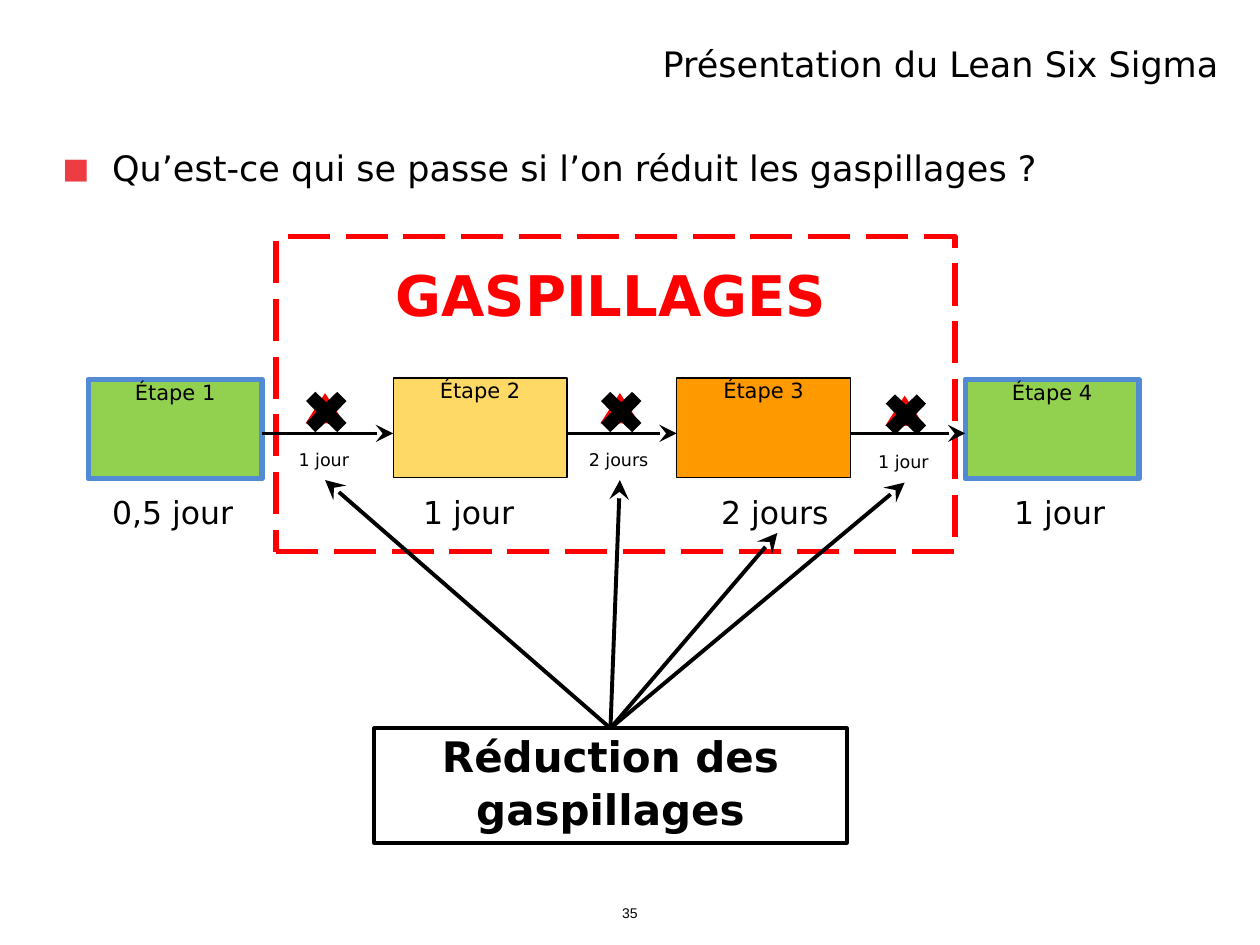
import lxml.etree
import pptx
import pptx.dml.color
import pptx.enum.dml
import pptx.enum.shapes
import pptx.enum.text
import pptx.oxml.ns
import pptx.util

HUES = {"ink": "000000", "red": "FF0000", "mark": "EE3D42", "white": "FFFFFF",
        "green": "92D050", "blue": "528BD4", "sand": "FFD966", "orange": "FF9900"}
ALIGN = pptx.enum.text.PP_ALIGN
FORMS = pptx.enum.shapes.MSO_SHAPE
CELL = 0.1  # the slide is a grid of 100 columns and 75 rows


def span(cells):
    return pptx.util.Inches(cells * CELL)


def hue(name):
    return pptx.dml.color.RGBColor.from_string(HUES[name])


def add(parent, tag, **attrs):
    node = lxml.etree.SubElement(parent, pptx.oxml.ns.qn(tag))
    for key, value in attrs.items():
        node.set(key, value)
    return node


def write(para, text, size=18, color="ink", bold=False, font="DejaVu Sans",
          align=ALIGN.LEFT, left=0, hang=0, before=0, lead=None, bullet=None):
    para.alignment = align
    props = para._p.get_or_add_pPr()
    props.set("marL", str(span(left)))
    props.set("indent", str(-span(hang)))
    if bullet:
        add(add(props, "a:buClr"), "a:srgbClr", val=HUES["mark"])
        add(props, "a:buSzPct", val="125000")
        add(props, "a:buFont", typeface=font)
        add(props, "a:buChar", char=bullet)
    if before:
        para.space_before = pptx.util.Pt(before)
    if lead:
        para.line_spacing = lead
    run = para.add_run()
    run.text = text
    run.font.name = font
    run.font.size = pptx.util.Pt(size)
    run.font.bold = bold
    run.font.color.rgb = hue(color)


class Page:
    def __init__(self, deck):
        self.slide = deck.slides.add_slide(deck.slide_layouts[6])
        self.shapes = self.slide.shapes

    def frame(self, shape):
        frame = shape.text_frame
        frame.word_wrap = True
        frame.vertical_anchor = pptx.enum.text.MSO_ANCHOR.TOP
        frame.margin_left = frame.margin_right = 0
        frame.margin_top = frame.margin_bottom = 0
        return frame

    def paint(self, shape, fill=None, line=None, width=1):
        shape.shadow.inherit = False
        if fill:
            shape.fill.solid()
            shape.fill.fore_color.rgb = hue(fill)
        else:
            shape.fill.background()
        if line:
            shape.line.color.rgb = hue(line)
            shape.line.width = pptx.util.Pt(width)
        else:
            shape.line.fill.background()
        return shape

    def text(self, x, y, w, h, *paras):
        frame = self.frame(self.shapes.add_textbox(span(x), span(y), span(w), span(h)))
        for i, (words, style) in enumerate(paras):
            write(frame.add_paragraph() if i else frame.paragraphs[0], words, **style)

    def label(self, mid, y, words, w=12, h=2.8, **style):
        self.text(mid - w / 2, y, w, h, (words, dict(style, align=ALIGN.CENTER)))

    def box(self, x, y, w, h, words, fill, line, width, **style):
        shape = self.shapes.add_shape(FORMS.RECTANGLE, span(x), span(y), span(w), span(h))
        self.paint(shape, fill, line, width)
        write(self.frame(shape).paragraphs[0], words, align=ALIGN.CENTER, **style)
        return shape

    def peak(self, mid, y, w, h, fill):
        shape = self.shapes.add_shape(FORMS.ISOSCELES_TRIANGLE, span(mid - w / 2),
                                      span(y), span(w), span(h))
        self.paint(shape, fill)

    def outline(self, points, **look):
        first, *rest = [(span(x), span(y)) for x, y in points]
        path = self.shapes.build_freeform(*first)
        path.add_line_segments(rest, close=True)
        return self.paint(path.convert_to_shape(), **look)

    def cross(self, mid, y, size, fill):
        cut, dip = 0.23, 0.26
        shares = [(0, cut), (cut, 0), (0.5, dip), (1 - cut, 0), (1, cut), (1 - dip, 0.5),
                  (1, 1 - cut), (1 - cut, 1), (0.5, 1 - dip), (cut, 1), (0, 1 - cut),
                  (dip, 0.5)]
        self.outline([(mid + (a - 0.5) * size, y + b * size) for a, b in shares], fill=fill)

    def arrow(self, start, end, width, source=None):
        line = self.shapes.add_connector(pptx.enum.shapes.MSO_CONNECTOR.STRAIGHT,
                                         *[span(v) for v in (*start, *end)])
        if source is not None:
            line.begin_connect(source, 0)
        line.line.color.rgb = hue("ink")
        line.line.width = pptx.util.Pt(width)
        add(line.line._get_or_add_ln(), "a:tailEnd", type="stealth", w="lg", len="lg")
        add(line._element.spPr, "a:effectLst")


def main():
    deck = pptx.Presentation()
    deck.slide_width, deck.slide_height = span(100), span(75)
    page = Page(deck)

    # Dashed zone of waste
    zone = page.outline([(21.9, 43.8), (75.8, 43.8), (75.8, 18.8), (21.9, 18.8)],
                        line="red", width=3)
    zone.line.dash_style = pptx.enum.dml.MSO_LINE.LONG_DASH

    # Title, question and zone heading
    page.text(4.8, 3.4, 92.4, 21.3,
              ("Présentation du Lean Six Sigma", dict(size=20, left=47.8)),
              ("Qu’est-ce qui se passe si l’on réduit les gaspillages ?",
               dict(size=20, left=4.1, hang=4, before=35, bullet="▪")),
              ("GASPILLAGES",
               dict(size=32, color="red", bold=True, left=26.6, before=41.5)))

    # Steps and their durations
    wide, tall = 13.8, 7.9
    steps = [(7, 30.1, "green", "blue", 3, "0,5 jour", 13.7),
             (31.2, 30, "sand", "ink", 0.72, "1 jour", 37.2),
             (53.7, 30, "orange", "ink", 0.72, "2 jours", 61.5),
             (76.6, 30.1, "green", "blue", 3, "1 jour", 84.1)]
    for i, (x, y, fill, line, width, time, mid) in enumerate(steps, 1):
        page.box(x, y, wide, tall, f"Étape {i}", fill, line, width, size=12)
        page.label(mid, 39.1, time)

    # Flow between steps
    for here, there in zip(steps, steps[1:]):
        page.arrow((here[0] + wide, 34.4), (there[0], 34.4), 1.5)

    # Crossed-out waits
    waits = [(25.8, 31.1, "1 jour"), (49.2, 31.1, "2 jours"), (71.8, 31.3, "1 jour")]
    for mid, y, time in waits:
        page.peak(mid, y + 0.1, 3.1, 2.4, "red")
        page.cross(mid + 0.1, y, 3.2, "ink")
        page.label(mid - 0.1, y + 4.5, time, w=8, h=1.7, size=10)

    # Waste reduction and its targets
    goal = page.box(29.7, 57.8, 37.5, 9.1, "Réduction des gaspillages", "white", "ink", 2.25,
                    size=24, bold=True, lead=1.05)
    for end in [(mid, y + 7) for mid, y, _ in waits] + [(61.7, 42.3)]:
        page.arrow((48.45, 57.8), end, 2.25, goal)

    # Page number
    page.label(50, 71.8, "35", w=3, h=1.4, size=8, font="Arial")

    deck.save("out.pptx")


if __name__ == "__main__":
    main()
